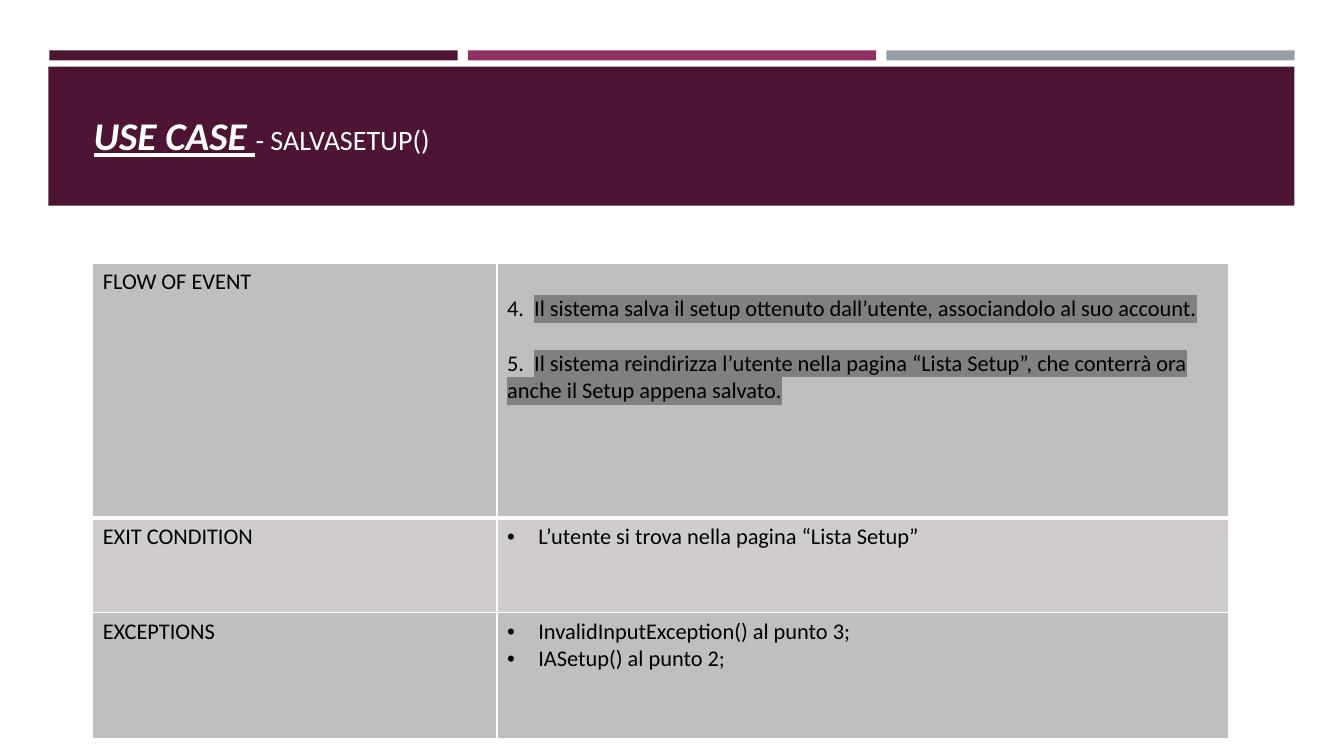
from lxml import etree
from pptx import Presentation
from pptx import util as u
from pptx.dml.color import RGBColor
from pptx.enum import shapes, text
from pptx.oxml.ns import qn

# Content
FONT = "Calibri"
WHITE, BLACK, PLUM = "FFFFFF", "000000", "4D1434"
STRIPES = [PLUM, "903163", "969FA7"]
TITLE = [("USE CASE ", 28, True), ("- SALVASETUP()", 20, False)]
STEPS = [
    ("4.  ", "Il sistema salva il setup ottenuto dall’utente, associandolo al suo account."),
    ("5.  ", "Il sistema reindirizza l’utente nella pagina “Lista Setup”, "
             "che conterrà ora anche il Setup appena salvato."),
]
# label, kind of content, content, row height, fill
ROWS = [
    ("FLOW OF EVENT", "steps", STEPS, 2.53, "BFBFBF"),
    ("EXIT CONDITION", "bullets", ["L’utente si trova nella pagina “Lista Setup”"], 0.94, "D0CCCE"),
    ("EXCEPTIONS", "bullets",
     ["InvalidInputException() al punto 3;", "IASetup() al punto 2;"], 1.25, "BFBFBF"),
]
COLUMNS = [4.01, 7.26]
LINE = 0.27  # height of one 16 pt line


def rgb(value):
    return RGBColor.from_string(value)


def add_bar(left, top, width, height, color):
    bar = slide.shapes.add_shape(shapes.MSO_SHAPE.RECTANGLE, *map(u.Inches, (left, top, width, height)))
    bar.shadow.inherit = False
    bar.fill.solid()
    bar.fill.fore_color.rgb = rgb(color)
    bar.line.fill.background()


def add_run(paragraph, wording, size=16, color=BLACK, highlight=None):
    run = paragraph.add_run()
    run.text = wording
    run.font.size = u.Pt(size)
    run.font.name = FONT
    run.font.color.rgb = rgb(color)
    if highlight:
        marker = etree.Element(qn("a:highlight"))
        etree.SubElement(marker, qn("a:srgbClr"), val=highlight)
        run.font.fill._xPr.find(qn("a:solidFill")).addnext(marker)
    return run


def add_bullet(paragraph):
    props = paragraph._p.get_or_add_pPr()
    props.set("marL", str(u.Inches(0.31)))
    props.set("indent", str(-u.Inches(0.31)))
    etree.SubElement(props, qn("a:buFont"), typeface="Arial")
    etree.SubElement(props, qn("a:buChar"), char="•")


def style_cell(cell, fill, top, bottom):
    cell.fill.solid()
    cell.fill.fore_color.rgb = rgb(fill)
    sides = [("L", 1), ("R", 1), ("T", top), ("B", bottom)]
    for position, (side, width) in enumerate(sides):
        border = etree.Element(qn(f"a:ln{side}"), w=str(u.Pt(width)))
        paint = etree.SubElement(border, qn("a:solidFill"))
        etree.SubElement(paint, qn("a:srgbClr"), val=WHITE)
        cell._tc.get_or_add_tcPr().insert(position, border)


prs = Presentation()
prs.slide_width, prs.slide_height = u.Inches(13.33), u.Inches(7.5)
slide = prs.slides.add_slide(prs.slide_layouts[6])

# Stripes and title band
for index, color in enumerate(STRIPES):
    add_bar(0.49 + 4.15 * index, 0.5, 4.05, 0.1, color)
add_bar(0.48, 0.66, 12.36, 1.38, PLUM)

# Title
title = slide.shapes.add_textbox(*map(u.Inches, (0.83, 0.45, 11.12, 1.95))).text_frame
title.word_wrap = True
title.vertical_anchor = text.MSO_ANCHOR.MIDDLE
title.margin_bottom = u.Inches(0.22)
for wording, size, strong in TITLE:
    font = add_run(title.paragraphs[0], wording, size, WHITE).font
    font.bold = font.italic = font.underline = strong

# Use case table
heights = [row[3] for row in ROWS]
use_case = slide.shapes.add_table(
    len(ROWS), len(COLUMNS), u.Inches(0.92), u.Inches(2.61),
    u.Inches(sum(COLUMNS)), u.Inches(sum(heights))).table
use_case.first_row = use_case.horz_banding = False
for column, width in zip(use_case.columns, COLUMNS):
    column.width = u.Inches(width)

for index, (label, kind, items, height, fill) in enumerate(ROWS):
    use_case.rows[index].height = u.Inches(height)
    label_cell, detail_cell = use_case.rows[index].cells
    for cell in (label_cell, detail_cell):
        style_cell(cell, fill, top=3 if index == 1 else 1, bottom=3 if index == 0 else 1)
    add_run(label_cell.text_frame.paragraphs[0], label)

    details = detail_cell.text_frame
    if kind == "steps":
        detail_cell.margin_top = u.Inches(0.05 + LINE)
    for number, item in enumerate(items):
        paragraph = details.add_paragraph() if number else details.paragraphs[0]
        if kind == "bullets":
            add_bullet(paragraph)
            add_run(paragraph, item)
        else:
            if number:
                paragraph.space_before = u.Inches(LINE)
            add_run(paragraph, item[0])
            add_run(paragraph, item[1], highlight="808080")

prs.save("out.pptx")
